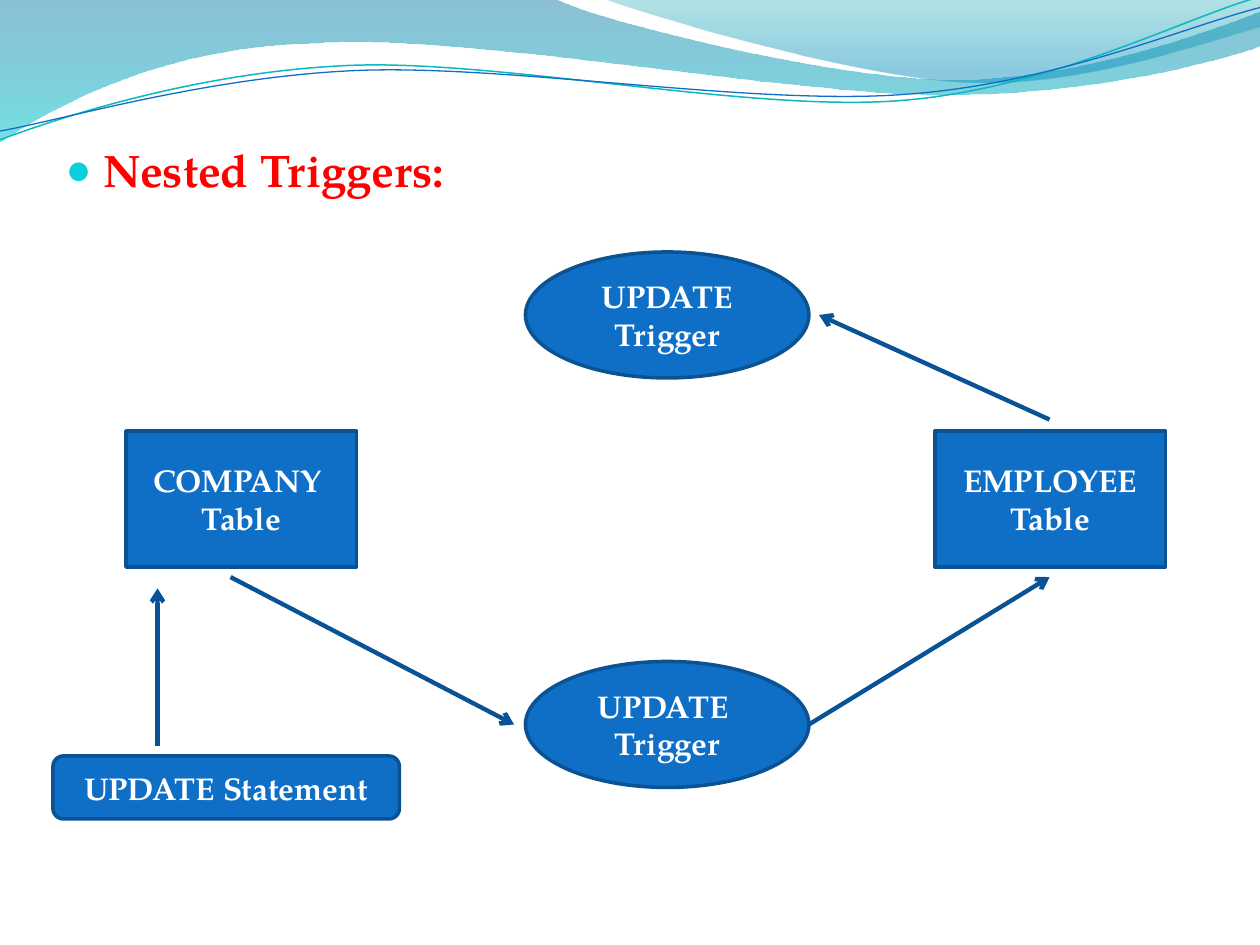
from dataclasses import dataclass

from lxml import etree
from pptx import Presentation
from pptx.dml.color import RGBColor
from pptx.enum.shapes import MSO_CONNECTOR, MSO_SHAPE
from pptx.enum.text import MSO_ANCHOR, PP_ALIGN
from pptx.oxml.ns import qn
from pptx.util import Inches, Pt

RECT, OVAL, ROUND = MSO_SHAPE.RECTANGLE, MSO_SHAPE.OVAL, MSO_SHAPE.ROUNDED_RECTANGLE
STRAIGHT = MSO_CONNECTOR.STRAIGHT
CENTER = PP_ALIGN.CENTER
MIDDLE, TOP = MSO_ANCHOR.MIDDLE, MSO_ANCHOR.TOP
COLORS = {
    "box": "0F6FC6", "border": "0B5292", "arrow": "095295",
    "heading": "FF0000", "bullet": "0BD0D9", "white": "FFFFFF",
    "teal_line": "0AB8BF", "blue_line": "0F6FC6",
    "band_top": "0074A1", "band_end": "00C6CF",
    "corner_top": "00A1A9", "corner_end": "008BBF",
}
FONT = "TeX Gyre Pagella"

Point = tuple[float, float]


@dataclass
class Node:
    kind: int
    x: float
    y: float
    w: float
    h: float
    lines: tuple[str, ...]


@dataclass
class Arrow:
    start: Point
    end: Point


@dataclass
class Stop:
    position: float
    color: str
    alpha: int


@dataclass
class Wave:
    start: Point
    segments: list[tuple[float, ...]]
    stops: tuple[Stop, ...] = ()
    line: str = ""
    width: float = 0


WAVES = [
    Wave((0, 0), [(4.4, -0.01), (4.76, 0.17, 6.64, 0.63, 7.58, 0.63),
                  (8.53, 0.63, 9.58, 0.26, 10, 0.09), (10.01, 0.36),
                  (9.83, 0.44, 8.7, 0.76, 7.46, 0.75),
                  (6.22, 0.75, 3.82, 0.28, 2.57, 0.34),
                  (1.29, 0.36, 0.46, 0.83, -0.01, 1.13)],
         (Stop(0, "band_top", 45), Stop(1, "band_end", 55))),
    Wave((4.79, -0.01), [(5.09, 0.11, 6.82, 0.62, 7.69, 0.65),
                         (8.56, 0.69, 9.61, 0.32, 10, 0.21), (10, 0)],
         (Stop(0, "corner_top", 30), Stop(0.8, "corner_end", 45))),
    Wave((0, 1.11), [(0.48, 0.93, 1.58, 0.57, 2.77, 0.52),
                     (3.95, 0.47, 5.93, 0.89, 7.13, 0.8),
                     (8.33, 0.71, 9.38, 0.15, 9.98, -0.02)],
         line="teal_line", width=0.85),
    Wave((0, 1.04), [(0.47, 0.96, 1.64, 0.61, 2.83, 0.56),
                     (4.03, 0.51, 5.97, 0.84, 7.17, 0.75),
                     (8.36, 0.67, 9.41, 0.21, 10, 0.06)],
         line="blue_line", width=0.75),
]
NODES = [
    Node(RECT, 1, 3.42, 1.83, 1.08, ("COMPANY ", "Table")),
    Node(RECT, 7.42, 3.42, 1.83, 1.08, ("EMPLOYEE", "Table")),
    Node(OVAL, 4.17, 2, 2.25, 1, ("UPDATE", "Trigger")),
    Node(OVAL, 4.17, 5.25, 2.25, 1, ("UPDATE ", "Trigger")),
    Node(ROUND, 0.42, 6, 2.75, 0.5, ("UPDATE Statement",)),
]
ARROWS = [
    Arrow((1.83, 4.58), (4.08, 5.75)),
    Arrow((6.42, 5.75), (8.33, 4.58)),
    Arrow((8.33, 3.33), (6.5, 2.5)),
    Arrow((1.25, 5.92), (1.25, 4.67)),
]


def rgb(name: str) -> RGBColor:
    return RGBColor.from_string(COLORS[name])


def set_line(line, color: str, width: float) -> None:
    line.color.rgb = rgb(color)
    line.width = Pt(width)


def add_run(p, text: str, size: float, color: str) -> None:
    r = p.add_run()
    r.text = text
    for name, value in {"name": FONT, "size": Pt(size), "bold": True}.items():
        setattr(r.font, name, value)
    r.font.color.rgb = rgb(color)


def bend_segments(sp, segments: list[tuple[float, ...]]) -> None:
    steps = iter(list(sp._element.iter(qn("a:lnTo"))))
    for segment in segments:
        first = next(steps)
        if len(segment) == 2:
            continue
        first.tag_name = None
        curve = etree.Element(qn("a:cubicBezTo"))
        first.addprevious(curve)
        for step in (first, next(steps), next(steps)):
            curve.append(step[0])
            step.getparent().remove(step)


def add_wave(s, wave: Wave) -> None:
    points = [wave.start]
    for segment in wave.segments:
        points += zip(segment[::2], segment[1::2])
    emu = [(Inches(x), Inches(y)) for x, y in points]
    builder = s.shapes.build_freeform(*emu[0])
    builder.add_line_segments(emu[1:], close=False)
    sp = builder.convert_to_shape()
    bend_segments(sp, wave.segments)
    sp.shadow.inherit = False
    if not wave.stops:
        sp.fill.background()
        set_line(sp.line, wave.line, wave.width)
        return
    etree.SubElement(next(sp._element.iter(qn("a:moveTo"))).getparent(), qn("a:close"))
    sp.line.fill.background()
    sp.fill.gradient()
    sp.fill.gradient_angle = 270
    for target, stop in zip(sp.fill.gradient_stops, wave.stops):
        target.position = stop.position
        target.color.rgb = rgb(stop.color)
    for clr, stop in zip(sp._element.spPr.iter(qn("a:srgbClr")), wave.stops):
        etree.SubElement(clr, qn("a:alpha"), val=str(stop.alpha * 1000))


def add_heading(s, text: str) -> None:
    sp = s.placeholders[1]
    box = {"left": 0.42, "top": 1.08, "width": 9, "height": 4.8}
    for name, value in box.items():
        setattr(sp, name, Inches(value))
    sp.text_frame.vertical_anchor = TOP
    p = sp.text_frame.paragraphs[0]
    pPr = p._p.get_or_add_pPr()
    pPr.set("marL", str(Inches(0.3)))
    pPr.set("indent", str(Inches(-0.3)))
    clr = etree.SubElement(pPr, qn("a:buClr"))
    etree.SubElement(clr, qn("a:srgbClr"), val=COLORS["bullet"])
    etree.SubElement(pPr, qn("a:buSzPct"), val="95000")
    etree.SubElement(pPr, qn("a:buChar"), char="●")
    p.space_before = Pt(0)
    add_run(p, text, 26, "heading")


def add_node(s, node: Node) -> None:
    sp = s.shapes.add_shape(node.kind, *map(Inches, (node.x, node.y, node.w, node.h)))
    sp.shadow.inherit = False
    sp.fill.solid()
    sp.fill.fore_color.rgb = rgb("box")
    set_line(sp.line, "border", 2)
    tf = sp.text_frame
    tf.word_wrap = True
    tf.vertical_anchor = MIDDLE
    for i, text in enumerate(node.lines):
        p = tf.add_paragraph() if i else tf.paragraphs[0]
        p.alignment = CENTER
        add_run(p, text, 18, "white")


def add_arrow(s, arrow: Arrow) -> None:
    c = s.shapes.add_connector(STRAIGHT, *map(Inches, arrow.start + arrow.end))
    set_line(c.line, "arrow", 2.5)
    etree.SubElement(c.line._get_or_add_ln(), qn("a:tailEnd"), type="arrow")
    etree.SubElement(c._element.spPr, qn("a:effectLst"))


def main() -> None:
    prs = Presentation()
    prs.slide_width, prs.slide_height = Inches(10), Inches(7.5)
    s = prs.slides.add_slide(prs.slide_layouts[1])
    title = s.shapes.title._element
    title.getparent().remove(title)
    for wave in WAVES:
        add_wave(s, wave)
    add_heading(s, "Nested Triggers:")
    for node in NODES:
        add_node(s, node)
    for arrow in ARROWS:
        add_arrow(s, arrow)
    prs.save("out.pptx")


if __name__ == "__main__":
    main()
